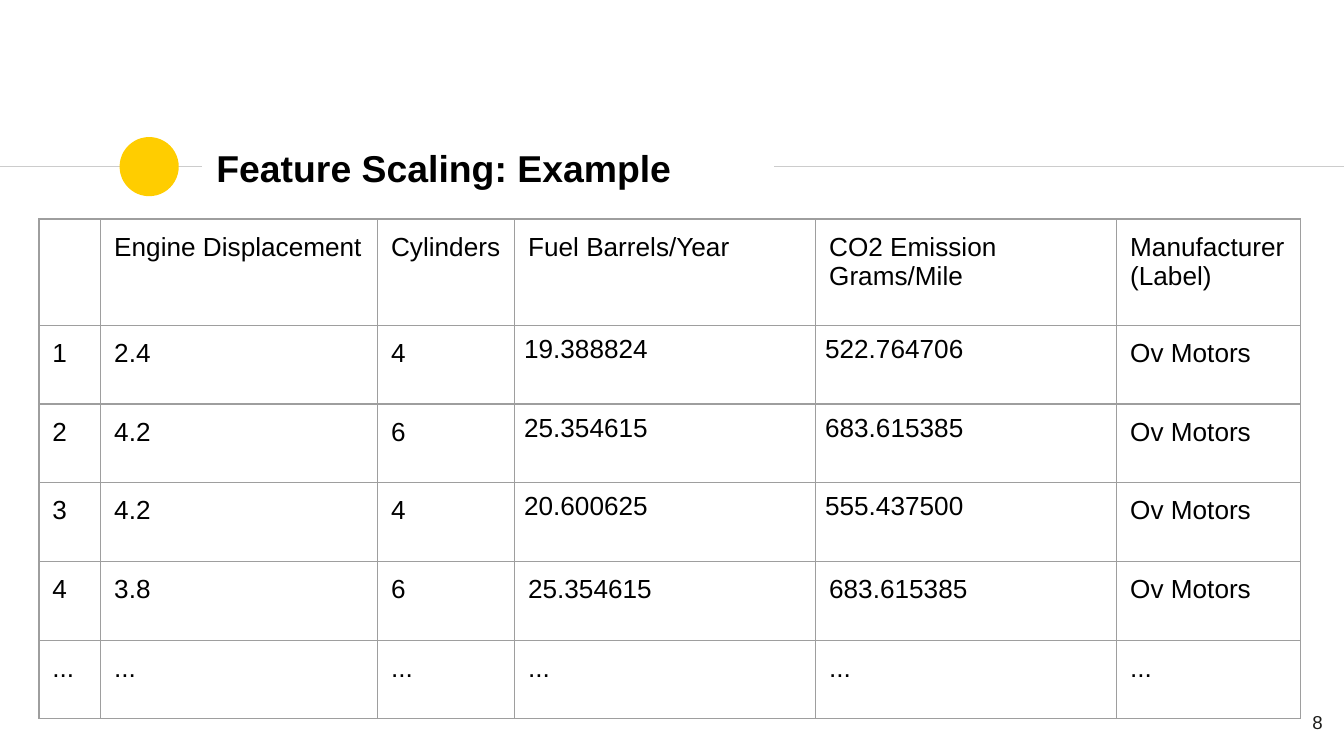
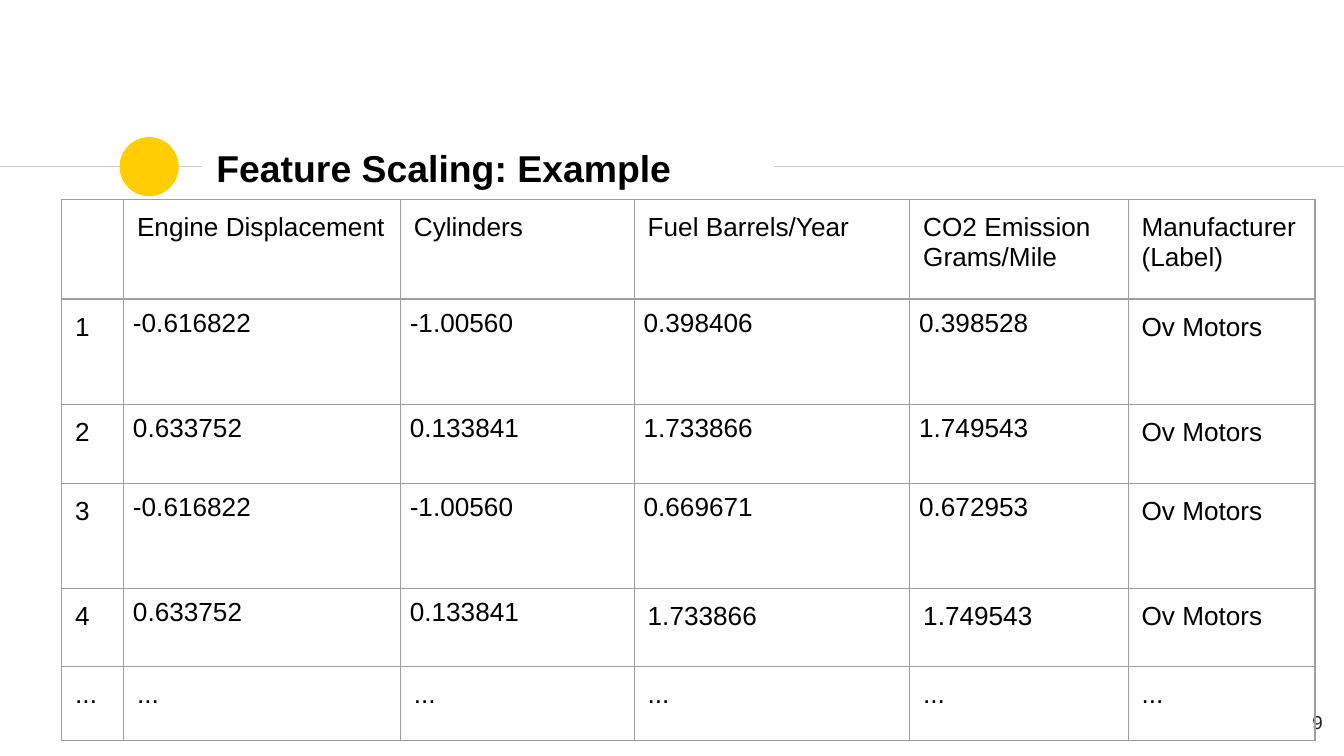
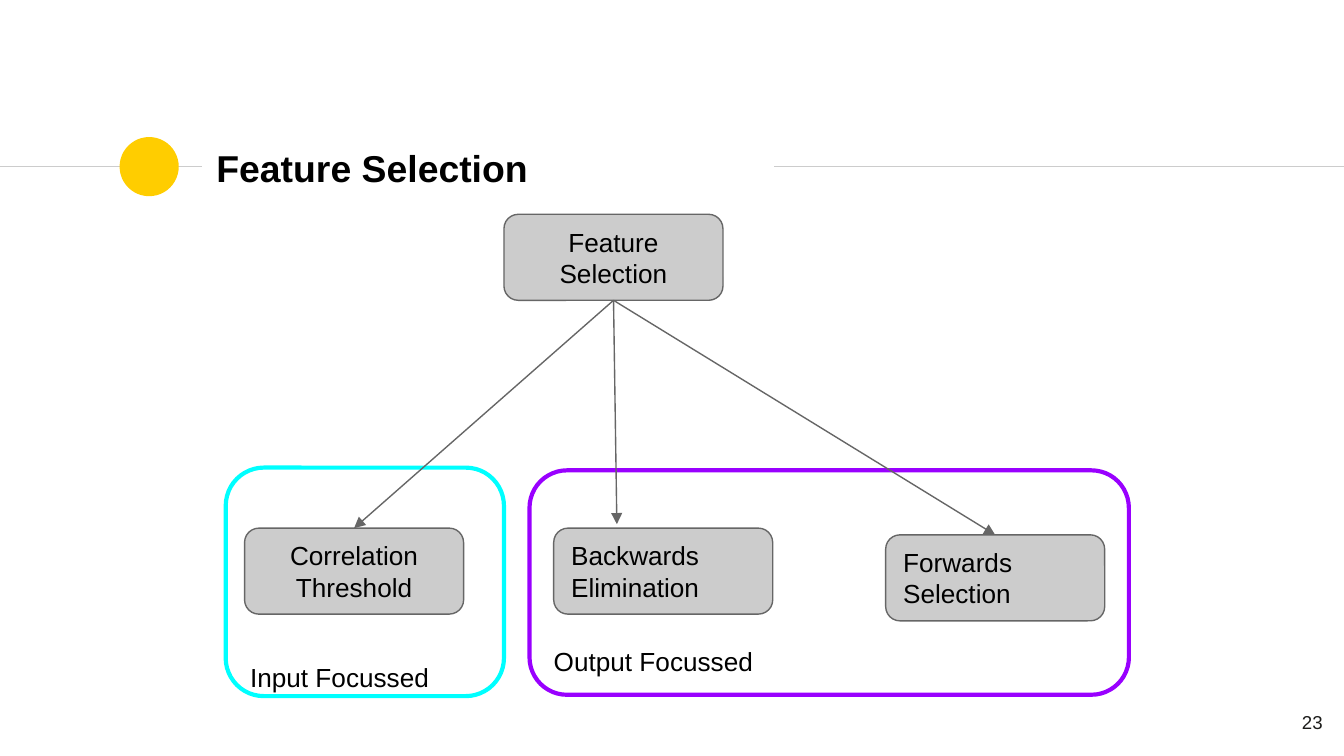
import itertools

import lxml.etree
import pptx
import pptx.dml.color
import pptx.enum.shapes
import pptx.enum.text
import pptx.oxml.ns
import pptx.util

SHAPE = pptx.enum.shapes.MSO_SHAPE
ALIGN = pptx.enum.text.PP_ALIGN
MIDDLE = pptx.enum.text.MSO_ANCHOR.MIDDLE
TOP = pptx.enum.text.MSO_ANCHOR.TOP

WIDE = pptx.util.Inches(10)
HIGH = pptx.util.Inches(5.625)
COLS = 100

FONT = "Arial"
BLACK = "000000"
INK = "1D1D1B"
YELLOW = "FFCD00"
PALE = "CCCCCC"
DARK = "666666"
BORDER = "9E9E9E"
CYAN = "00FFFF"
PURPLE = "9900FF"
PAD = 1
SLIM = 0.7
MAKER = "Ov Motors"


def grid(*counts):
    return [round(WIDE * count / COLS) for count in counts]


def tint(code):
    return pptx.dml.color.RGBColor.from_string(code)


def child(parent, tag, **attrs):
    return lxml.etree.SubElement(parent, pptx.oxml.ns.qn(tag), attrs)


def write(frame, text, size=14, color=BLACK, bold=False, align=ALIGN.LEFT):
    para = frame.paragraphs[0]
    para.alignment = align
    run = para.add_run()
    run.text = text
    run.font.name = FONT
    run.font.size = pptx.util.Pt(size)
    run.font.bold = bold
    run.font.color.rgb = tint(color)


def inset(item, left=PAD, top=PAD, right=PAD, bottom=PAD):
    item.margin_left, item.margin_top, item.margin_right, item.margin_bottom = grid(
        left, top, right, bottom)


def settle(frame, anchor):
    frame.word_wrap = True
    frame.auto_size = pptx.enum.text.MSO_AUTO_SIZE.NONE
    frame.vertical_anchor = anchor
    inset(frame)


def place(shape, left, top, width, height):
    shape.left, shape.top, shape.width, shape.height = grid(left, top, width, height)


def add_form(slide, kind, spot, fill=None, line=None, weight=0.75):
    shape = slide.shapes.add_shape(kind, *grid(*spot))
    shape.shadow.inherit = False
    if fill:
        shape.fill.solid()
        shape.fill.fore_color.rgb = tint(fill)
    else:
        shape.fill.background()
    if line:
        shape.line.color.rgb = tint(line)
        shape.line.width = pptx.util.Pt(weight)
    else:
        shape.line.fill.background()
    settle(shape.text_frame, MIDDLE)
    return shape


def add_line(slide, start, end, color):
    line = slide.shapes.add_connector(
        pptx.enum.shapes.MSO_CONNECTOR.STRAIGHT, *grid(*start, *end))
    line.line.color.rgb = tint(color)
    line.line.width = pptx.util.Pt(0.75)
    child(line.element.spPr, "a:effectLst")
    return line


def add_arrow(slide, source, end, target=None):
    arrow = add_line(slide, (0, 0), end, DARK)
    arrow.begin_connect(source, 2)
    if target:
        arrow.end_connect(target, 0)
    child(arrow.line._get_or_add_ln(), "a:tailEnd", type="triangle")


def add_box(slide, text, left, top, align=ALIGN.LEFT):
    box = add_form(slide, SHAPE.ROUNDED_RECTANGLE, (left, top, 16.3, 6.4), PALE, DARK)
    write(box.text_frame, text, align=align)
    return box


def add_group(slide, text, spot, color, drop):
    frame = add_form(slide, SHAPE.ROUNDED_RECTANGLE, spot, line=color, weight=2.25)
    inset(frame.text_frame, top=drop, bottom=0)
    write(frame.text_frame, text)


def edge(cell):
    props = cell._tc.get_or_add_tcPr()
    for spot, side in enumerate(("a:lnL", "a:lnR", "a:lnT", "a:lnB")):
        line = lxml.etree.Element(
            pptx.oxml.ns.qn(side), {"w": str(pptx.util.Pt(0.75))})
        child(child(line, "a:solidFill"), "a:srgbClr", val=BORDER)
        props.insert(spot, line)


def add_grid(slide, left, top, widths, heights, rows, tight):
    spot = grid(left, top, sum(widths), sum(heights))
    table = slide.shapes.add_table(len(heights), len(widths), *spot).table
    table.first_row = table.horz_banding = False
    for col, width in zip(table.columns, grid(*widths)):
        col.width = width
    for row, height in zip(table.rows, grid(*heights)):
        row.height = height
    for down, texts in enumerate(rows):
        for across, text in enumerate(texts):
            cell = table.cell(down, across)
            cell.fill.background()
            edge(cell)
            pad = SLIM if (down, across) in tight else PAD
            inset(cell, pad, pad, pad, pad)
            if text:
                write(cell.text_frame, text)


def fill_rows(values):
    head = ["", "Engine Displacement", "Cylinders", "Fuel Barrels/Year",
            "CO2 Emission Grams/Mile", "Manufacturer (Label)"]
    body = [[str(count), *row, MAKER] for count, row in enumerate(values, 1)]
    return [head, *body, ["..."] * len(head)]


def add_slide(deck, layout, title, number):
    slide = deck.slides.add_slide(layout)
    place(slide.shapes.title, 15.1, 10.1, 42.4, 4.8)
    settle(slide.shapes.title.text_frame, MIDDLE)
    write(slide.shapes.title.text_frame, title, 20, bold=True)
    box = slide.shapes.add_textbox(*grid(93.4, 51.9, 6, 4.3))
    settle(box.text_frame, TOP)
    write(box.text_frame, number, 10, INK, align=ALIGN.RIGHT)
    return slide


def add_band(slide, layout):
    parts = [
        add_line(slide, (0, 12.4), (15, 12.4), PALE),
        add_form(slide, SHAPE.OVAL, (8.9, 10.2, 4.4, 4.4), YELLOW),
        add_line(slide, (57.6, 12.4), (COLS, 12.4), PALE),
    ]
    for part in parts:
        layout.shapes.element.append(part.element)


def draw_raw(slide):
    rows = fill_rows([
        ["2.4", "4", "19.388824", "522.764706"],
        ["4.2", "6", "25.354615", "683.615385"],
        ["4.2", "4", "20.600625", "555.437500"],
        ["3.8", "6", "25.354615", "683.615385"],
    ])
    tight = set(itertools.product((1, 2, 3), (3, 4)))
    add_grid(slide, 2.9, 16.3, [4.6, 20.6, 10.2, 22.4, 22.4, 13.65],
             [7.9] + [5.86] * 5, rows, tight)


def draw_scaled(slide):
    low = ["-0.616822", "-1.00560"]
    high = ["0.633752", "0.133841", "1.733866", "1.749543"]
    rows = fill_rows([
        low + ["0.398406", "0.398528"],
        high,
        low + ["0.669671", "0.672953"],
        high,
    ])
    tight = set(itertools.product((1, 2, 3), (1, 2, 3, 4))) | {(4, 1), (4, 2)}
    add_grid(slide, 4.6, 14.85, [4.6, 20.6, 17.4, 20.5, 16.25, 13.9],
             [7.4, 7.85, 5.86, 7.85, 5.8, 5.5], rows, tight)


def draw_tree(slide):
    root = add_box(slide, "Feature Selection", 37.5, 15.95, ALIGN.CENTER)
    first = add_box(slide, "Correlation Threshold", 18.2, 39.3, ALIGN.CENTER)
    add_box(slide, "Backwards Elimination", 41.2, 39.3)
    last = add_box(slide, "Forwards Selection", 65.9, 39.8)
    add_group(slide, "Output Focussed", (39.4, 35, 44.6, 16.7), PURPLE, 11.7)
    add_group(slide, "Input Focussed", (16.8, 34.8, 20.7, 17), CYAN, 14.2)
    add_arrow(slide, root, (26.1, 39.2), first)
    add_arrow(slide, root, (45.9, 39))
    add_arrow(slide, root, (74.4, 39.6), last)


def main():
    deck = pptx.Presentation()
    deck.slide_width, deck.slide_height = WIDE, HIGH
    layout = deck.slide_layouts[5]
    raw = add_slide(deck, layout, "Feature Scaling: Example", "8")
    add_band(raw, layout)
    draw_raw(raw)
    draw_scaled(add_slide(deck, layout, "Feature Scaling: Example", "9"))
    draw_tree(add_slide(deck, layout, "Feature Selection", "23"))
    deck.save("out.pptx")


if __name__ == "__main__":
    main()
